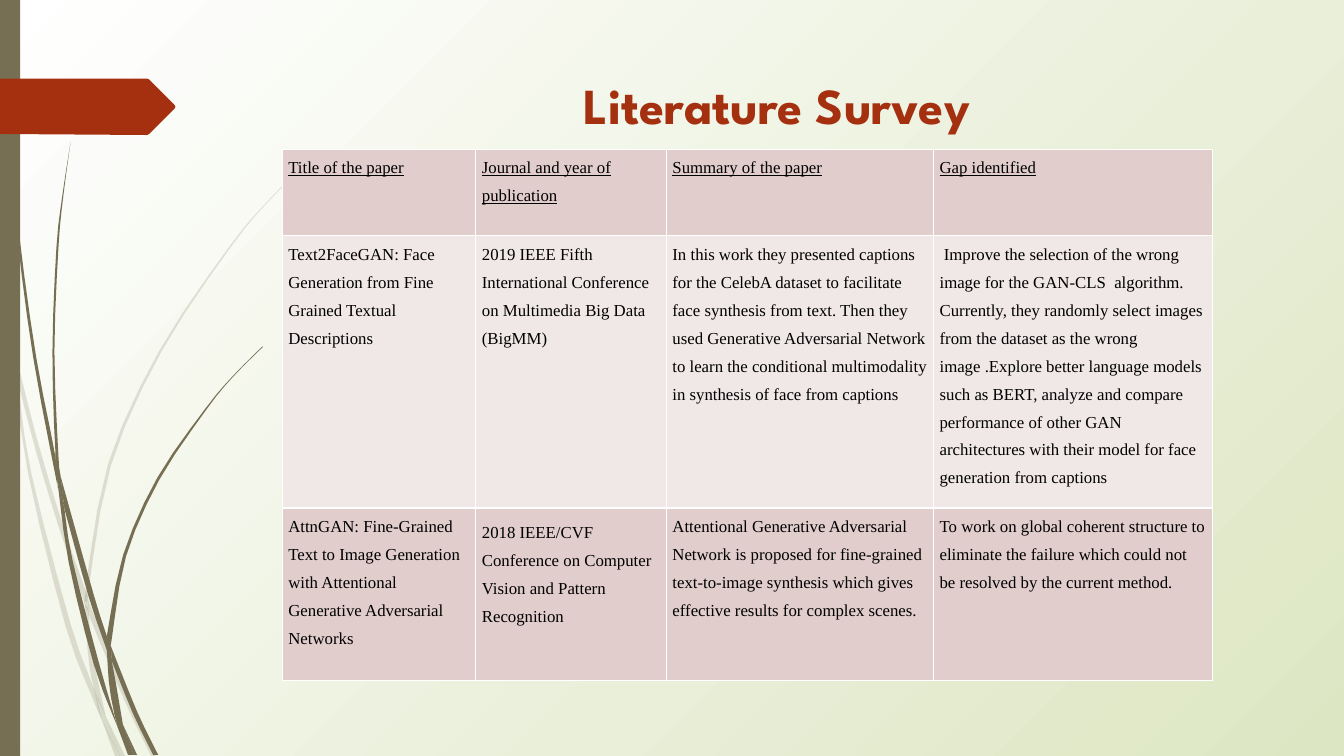
from lxml import etree
from pptx import Presentation
from pptx import util as u
from pptx.dml.color import RGBColor
from pptx.enum import shapes, text
from pptx.oxml.ns import qn

# ---- Content ----
TITLE = "Literature Survey"
SURVEY = [
    ("Title of the paper", "Journal and year of publication",
     "Summary of the paper", "Gap identified"),
    ("Text2FaceGAN: Face Generation from Fine Grained Textual Descriptions",
     "2019 IEEE Fifth International Conference on Multimedia Big Data (BigMM)",
     "In this work they presented captions for the CelebA dataset to facilitate face "
     "synthesis from text. Then they used Generative Adversarial Network to learn the "
     "conditional multimodality in synthesis of face from captions",
     " Improve the selection of the wrong image for the GAN-CLS  algorithm. Currently, "
     "they randomly select images from the dataset as the wrong image .Explore better "
     "language models such as BERT, analyze and compare performance of other GAN "
     "architectures with their model for face generation from captions"),
    ("AttnGAN: Fine-Grained Text to Image Generation with Attentional Generative "
     "Adversarial Networks",
     "2018 IEEE/CVF Conference on Computer Vision and Pattern Recognition",
     "Attentional Generative Adversarial Network is proposed for fine-grained "
     "text-to-image synthesis which gives effective results for complex scenes.",
     "To work on global coherent structure to eliminate the failure which could not be "
     "resolved by the current method."),
]

# ---- Layout in px (100 px to the inch) ----
PX = 9144
SLIDE = (1333, 750)
SIDE_BAR = (0, 0, 20, 750)
ARROW = [(0, 78), (146, 78), (148, 79), (173, 104), (174, 106), (173, 108),
         (148, 133), (146, 134), (0, 133)]
TITLE_BOX = (283, 69, 975, 140)
TABLE_AT = (280, 148)
COLS = (192, 189, 265, 277)
ROWS = (86, 260, 171)
CELL_PAD = 6
PADDED_CELL = (2, 1)  # the one cell that also has a margin above and below

# Pieces of grass: knots along one edge, then along the other
PALE_GRASS = [
    ([(0, 282), (9, 322), (11, 350)], [(0, 299), (10, 344), (11, 350)]),
    ([(14, 345), (36, 433), (62, 520), (85, 586)],
     [(17, 376), (36, 449), (58, 522), (84, 599)]),
    ([(88, 596), (92, 607), (127, 692), (155, 750)], [(88, 610), (123, 694), (150, 750)]),
    ([(105, 711), (124, 750)], [(105, 711), (119, 750)]),
    ([(11, 350), (17, 376), (31, 469), (70, 619), (93, 683), (101, 714)],
     [(11, 350), (28, 470), (65, 621), (92, 693), (101, 714)]),
    ([(84, 599), (88, 608), (91, 646), (105, 711)],
     [(84, 599), (87, 646), (93, 683), (105, 711)]),
    ([(312, 153), (268, 197), (228, 244), (158, 348), (107, 461), (85, 584), (88, 596)],
     [(312, 154), (268, 198), (229, 245), (160, 349), (110, 462), (88, 584), (88, 596)]),
    ([(101, 714), (119, 750)], [(101, 714), (114, 750)]),
    ([(85, 586), (88, 596), (88, 610)], [(85, 586), (84, 599), (88, 608)]),
    ([(93, 683), (105, 711), (119, 750)], [(93, 683), (101, 714), (119, 750)]),
]
DARK_GRASS = [
    ([(3, 0), (7, 110), (17, 233), (33, 355), (56, 477), (57, 481)],
     [(4, 0), (8, 109), (19, 232), (36, 355), (55, 453), (57, 481)]),
    ([(60, 472), (93, 590), (106, 631)], [(64, 505), (88, 592), (106, 645)]),
    ([(110, 641), (136, 706), (157, 749)], [(111, 656), (132, 708), (152, 749)]),
    ([(57, 477), (68, 557), (93, 659), (117, 722)],
     [(64, 505), (72, 556), (98, 657), (117, 722)]),
    ([(70, 141), (62, 193), (56, 245), (52, 349), (55, 449), (60, 472)],
     [(70, 141), (63, 193), (58, 245), (54, 349), (58, 453), (60, 472)]),
    ([(122, 719), (136, 749)], [(122, 719), (133, 749)]),
    ([(55, 449), (60, 472), (64, 505)], [(55, 453), (57, 477), (64, 505)]),
    ([(260, 344), (231, 373), (204, 405), (156, 474), (122, 551), (106, 631)],
     [(261, 344), (231, 374), (205, 406), (158, 476), (125, 552), (111, 633), (110, 641)]),
    ([(117, 722), (131, 749)], [(117, 722), (127, 749)]),
    ([(106, 645), (111, 656), (122, 719)], [(106, 645), (110, 691), (122, 719)]),
    ([(106, 631), (110, 641), (111, 656)], [(106, 631), (106, 645), (111, 656)]),
    ([(110, 691), (122, 719), (133, 749)], [(110, 691), (117, 722), (130, 749)]),
]


class Theme:
    olive, red, black, white = "766F54", "A53010", "000000", "FFFFFF"
    bg_from, bg_to = "FFFFFF", "DDE6C3"
    row_fills = ("E1CDCC", "F0E8E7")
    title_font, body_font = "League Spartan", "Times New Roman"
    title_pt, body_pt, border_pt = 36, 12, 1
    pale_alpha = 20


# ---- Helpers ----
def px(lengths):
    return [round(v * PX) for v in lengths]


def rgb(hex_colour):
    return RGBColor.from_string(hex_colour)


def paint(sp, colour, alpha=100):
    sp.shadow.inherit = False
    sp.fill.solid()
    sp.fill.fore_color.rgb = rgb(colour)
    sp.line.fill.background()
    if alpha < 100:
        clr = sp.fill._xPr.find(".//" + qn("a:srgbClr"))
        etree.SubElement(clr, qn("a:alpha"), val=str(alpha * 1000))


def add_run(p, content, font, size, colour):
    r = p.add_run()
    r.text = content
    r.font.name, r.font.size = font, u.Pt(size)
    r.font.color.rgb = rgb(colour)
    return r


def smooth(knots, steps=3):
    """Points on a Catmull-Rom curve through the knots."""
    if len(knots) == 2:
        return knots
    padded = [knots[0], *knots, knots[-1]]
    points = [knots[0]]
    for a, b, c, d in zip(padded, padded[1:], padded[2:], padded[3:]):
        for i in range(1, steps + 1):
            t = i / steps
            points.append(tuple(
                (2 * q + (r - o) * t + (2 * o - 5 * q + 4 * r - e) * t ** 2
                 + (3 * q - o - 3 * r + e) * t ** 3) / 2
                for o, q, r, e in zip(a, b, c, d)))
    return points


def add_outline(s, points, colour, alpha=100):
    outline = [px(pt) for pt in points]
    builder = s.shapes.build_freeform(*outline[0])
    builder.add_line_segments(outline[1:], close=True)
    paint(builder.convert_to_shape(), colour, alpha)


def add_borders(cell):
    tc_pr = cell._tc.get_or_add_tcPr()
    for i, side in enumerate(("lnL", "lnR", "lnT", "lnB")):
        ln = etree.Element(qn("a:" + side), w=str(u.Pt(Theme.border_pt)))
        fill = etree.SubElement(ln, qn("a:solidFill"))
        etree.SubElement(fill, qn("a:srgbClr"), val=Theme.white)
        tc_pr.insert(i, ln)


def set_background(s):
    fill = s.background.fill
    fill.gradient()
    for stop, colour in zip(fill.gradient_stops, (Theme.bg_from, Theme.bg_to)):
        stop.color.rgb = rgb(colour)
    grad = s.element.find(".//" + qn("a:gradFill"))
    grad.remove(grad.find(qn("a:lin")))
    radial = etree.SubElement(grad, qn("a:path"), path="circle")
    etree.SubElement(radial, qn("a:fillToRect"), r="100000", b="100000")


def add_survey_table(s):
    frame = s.shapes.add_table(len(ROWS), len(COLS),
                               *px((*TABLE_AT, sum(COLS), sum(ROWS))))
    table = frame.table
    table.first_row = table.horz_banding = False
    for col, width in zip(table.columns, px(COLS)):
        col.width = width
    for i, (row, height) in enumerate(zip(table.rows, px(ROWS))):
        row.height = height
        for j, content in enumerate(SURVEY[i]):
            cell = table.cell(i, j)
            cell.margin_left = cell.margin_right = CELL_PAD * PX
            pad = CELL_PAD * PX if (i, j) == PADDED_CELL else 0
            cell.margin_top = cell.margin_bottom = pad
            cell.fill.solid()
            cell.fill.fore_color.rgb = rgb(Theme.row_fills[i % 2])
            add_borders(cell)
            p = cell.text_frame.paragraphs[0]
            p.line_spacing, p.space_after = 1.5, u.Pt(3)
            r = add_run(p, content, Theme.body_font, Theme.body_pt, Theme.black)
            r.font.underline = i == 0


def main():
    prs = Presentation()
    prs.slide_width, prs.slide_height = px(SLIDE)
    s = prs.slides.add_slide(prs.slide_layouts[6])
    set_background(s)

    # Grass, side bar and arrow
    for grass, alpha in ((PALE_GRASS, Theme.pale_alpha), (DARK_GRASS, 100)):
        for edge, other_edge in grass:
            add_outline(s, smooth(edge) + smooth(other_edge)[::-1], Theme.olive, alpha)
    bar = s.shapes.add_shape(shapes.MSO_SHAPE.RECTANGLE, *px(SIDE_BAR))
    paint(bar, Theme.olive)
    add_outline(s, ARROW, Theme.red)

    # Title
    tf = s.shapes.add_textbox(*px(TITLE_BOX)).text_frame
    tf.word_wrap = True
    tf.vertical_anchor = text.MSO_ANCHOR.TOP
    p = tf.paragraphs[0]
    p.alignment = text.PP_ALIGN.CENTER
    r = add_run(p, TITLE, Theme.title_font, Theme.title_pt, Theme.red)
    r.font.bold = True

    add_survey_table(s)
    prs.save("out.pptx")


if __name__ == "__main__":
    main()
